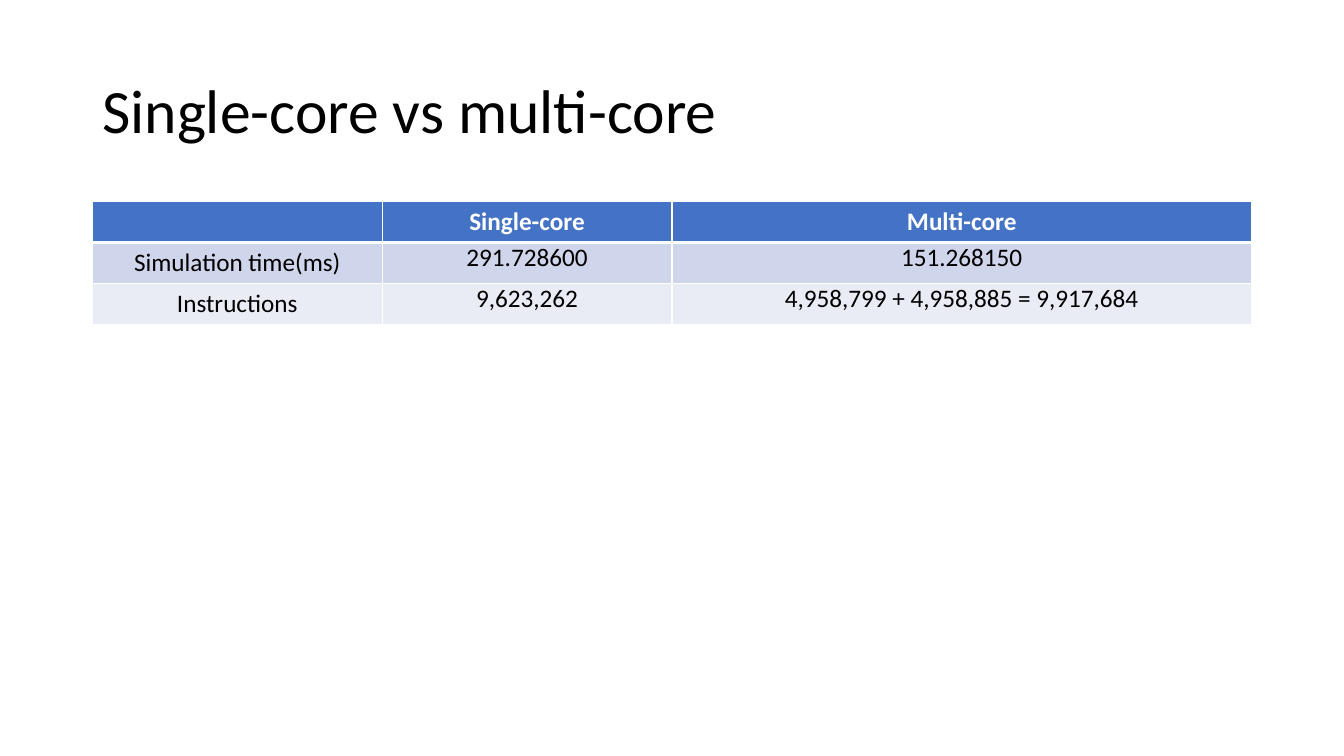
"""Build a slide comparing single-core and multi-core simulation runs."""
from dataclasses import dataclass

from lxml.etree import SubElement
from pptx import Presentation
from pptx.dml.color import RGBColor as Rgb
from pptx.enum.text import MSO_ANCHOR as Anchor, PP_ALIGN as Align
from pptx.oxml.ns import qn
from pptx.util import Cm, Pt


@dataclass(frozen=True)
class Theme:
    """Colours, font and type sizes of the slide."""
    font: str = "Calibri"
    title_size: int = 44
    table_size: int = 18
    ink: str = "000000"
    paper: str = "FFFFFF"
    header: str = "4472C4"
    bands: tuple = ("CFD5EA", "E9EBF5")
    thin_line: int = 1
    thick_line: int = 3


THEME = Theme()
LEFT, WIDTH = Cm(2.33), Cm(29.21)
ROW_HEIGHT = Cm(1.03)
COLUMN_SHARES = (1, 1, 2)
ROWS = (
    ("", "Single-core", "Multi-core"),
    ("Simulation time(ms)", "291.728600", "151.268150"),
    ("Instructions", "9,623,262", "4,958,799 + 4,958,885 = 9,917,684"),
)


def add_run(paragraph, text, size, color, bold=False):
    """Add one styled run to a paragraph."""
    run = paragraph.add_run()
    run.text = text
    run.font.name = THEME.font
    run.font.size = Pt(size)
    run.font.bold = bold
    run.font.color.rgb = Rgb.from_string(color)


def add_title(slide, text):
    """Add the slide title, vertically centred in its box."""
    frame = slide.shapes.add_textbox(LEFT, Cm(1.01), WIDTH, Cm(3.68)).text_frame
    frame.word_wrap = True
    frame.vertical_anchor = Anchor.MIDDLE
    paragraph = frame.paragraphs[0]
    paragraph.line_spacing = 0.9
    add_run(paragraph, text, THEME.title_size, THEME.ink)


def add_borders(cell, top, bottom):
    """Draw the four cell borders, with the given top and bottom widths."""
    properties = cell._tc.get_or_add_tcPr()
    thin = THEME.thin_line
    for side, width in (("L", thin), ("R", thin), ("T", top), ("B", bottom)):
        line = SubElement(properties, qn(f"a:ln{side}"), w=str(Pt(width)))
        fill = SubElement(line, qn("a:solidFill"))
        SubElement(fill, qn("a:srgbClr"), val=THEME.paper)


def fill_cell(cell, text, row, column):
    """Style one cell by its place in the table and write its text."""
    is_header = row == 0
    add_borders(cell, THEME.thick_line if row == 1 else THEME.thin_line,
                THEME.thick_line if is_header else THEME.thin_line)
    cell.fill.solid()
    color = THEME.header if is_header else THEME.bands[(row - 1) % 2]
    cell.fill.fore_color.rgb = Rgb.from_string(color)
    if not is_header and column > 0:
        cell.margin_left = cell.margin_right = Cm(0.18)
        cell.margin_top = cell.margin_bottom = 0
    paragraph = cell.text_frame.paragraphs[0]
    paragraph.alignment = Align.CENTER
    if text:
        add_run(paragraph, text, THEME.table_size,
                THEME.paper if is_header else THEME.ink, is_header)


def add_comparison_table(slide):
    """Add the table that compares both runs."""
    table = slide.shapes.add_table(len(ROWS), len(COLUMN_SHARES), LEFT, Cm(5.08),
                                   WIDTH, ROW_HEIGHT * len(ROWS)).table
    for column, share in zip(table.columns, COLUMN_SHARES):
        column.width = WIDTH * share // sum(COLUMN_SHARES)
    for row, texts in enumerate(ROWS):
        table.rows[row].height = ROW_HEIGHT
        for column, text in enumerate(texts):
            fill_cell(table.cell(row, column), text, row, column)


def main():
    """Build and save the presentation."""
    presentation = Presentation()
    presentation.slide_width, presentation.slide_height = Cm(33.87), Cm(19.05)
    slide = presentation.slides.add_slide(presentation.slide_layouts[6])
    add_title(slide, "Single-core vs multi-core")
    add_comparison_table(slide)
    presentation.save("out.pptx")


main()
